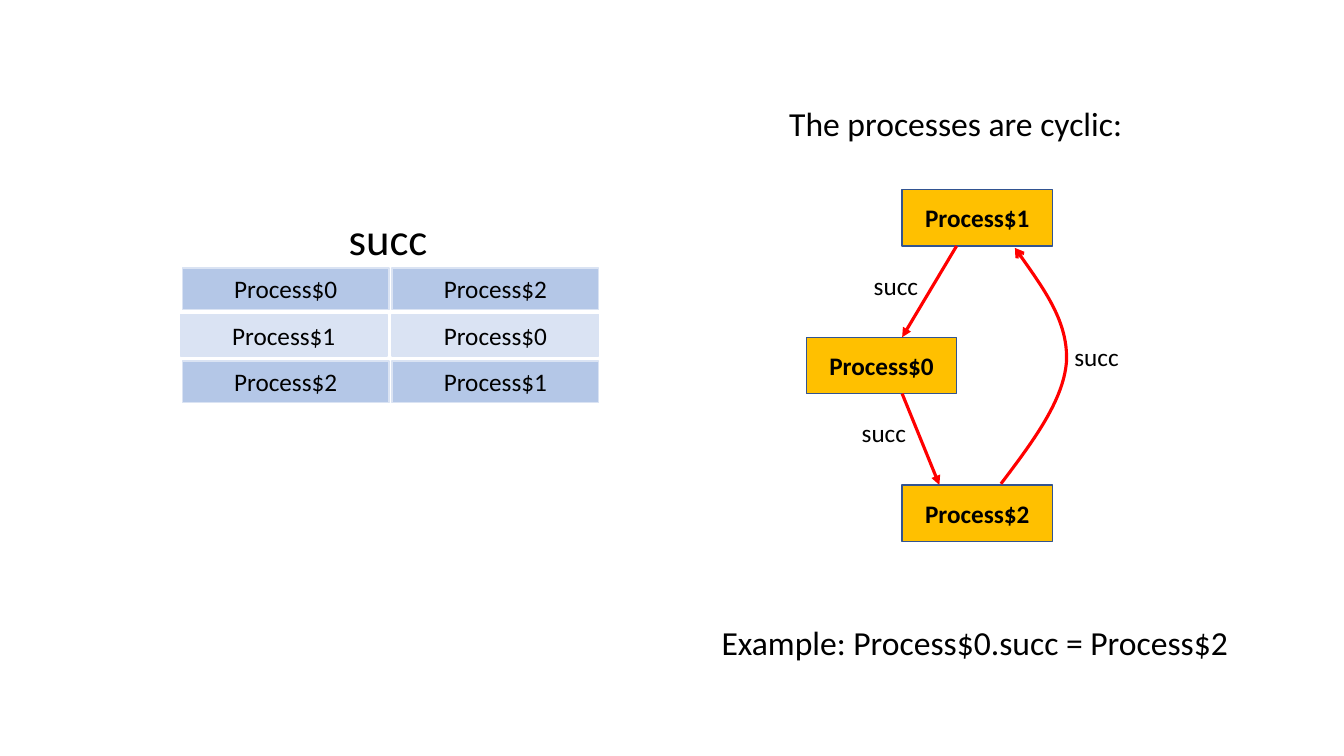
from lxml.etree import SubElement
from pptx import Presentation
from pptx.dml.color import RGBColor
from pptx.enum.shapes import MSO_CONNECTOR, MSO_SHAPE
from pptx.enum.text import MSO_ANCHOR, MSO_AUTO_SIZE, PP_ALIGN
from pptx.oxml.ns import qn
from pptx.util import Pt

FONT = "Calibri"
COLORS = {
    "text": "000000",
    "process": "FFC000",
    "process_line": "325491",
    "arrow": "FF0000",
    "dark_row": "B4C7E7",
    "light_row": "DAE3F3",
}

# Process name and left edge, from top to bottom
PROCESSES = [("Process$1", 644.4), ("Process$0", 576), ("Process$2", 644.4)]
PROCESS_TOP, PROCESS_PITCH = 135.4, 105.5
PROCESS_SIZE = (107.3, 40.3)

# Each row: left edge of its first cell, process, successor
SUCCESSOR_ROWS = [
    (130.3, "Process$0", "Process$2"),
    (128.9, "Process$1", "Process$0"),
    (130.3, "Process$2", "Process$1"),
]
SECOND_COLUMN, TABLE_TOP, ROW_PITCH = 280.1, 191.5, 33.2
CELL_SIZE = (147.6, 29.5)

STRAIGHT_ARROWS = [
    ((683.3, 175.7), (644.4, 240.9)),
    ((644.4, 281.2), (671, 346.4)),
]
# Start point, then three Bézier points for each segment
CURVED_ARROW = [
    (715, 345.6),
    (737.3, 316.1), (759.6, 286.6), (761.8, 258.5),
    (763.2, 230.4), (743.8, 203.8), (725, 177.1),
]

# Text, left, top, width, height, font size, wrap
LABELS = [
    ("succ", 241.9, 146.9, 76.3, 46.1, 32, True),
    ("succ", 617, 189.4, 46.8, 28.8, 18, False),
    ("succ", 608.4, 294.5, 46.8, 28.8, 18, False),
    ("succ", 760.3, 240.5, 46.8, 28.8, 18, False),
    ("The processes are cyclic:", 556.6, 69.8, 262.8, 36, 24, True),
    ("Example: Process$0.succ = Process$2", 508.3, 440.6, 379.4, 36, 24, False),
]


def color(name):
    return RGBColor.from_string(COLORS[name])


def write(box, text, size, bold=False):
    paragraph = box.text_frame.paragraphs[0]
    paragraph.text = text
    font = paragraph.runs[0].font
    font.name, font.size, font.bold = FONT, Pt(size), bold
    font.color.rgb = color("text")
    return paragraph


def add_box(page, text, left, top, size, fill, line, bold=False):
    box = page.shapes.add_shape(
        MSO_SHAPE.RECTANGLE, Pt(left), Pt(top), *map(Pt, size))
    box.shadow.inherit = False
    box.fill.solid()
    box.fill.fore_color.rgb = color(fill)
    box.line.color.rgb = color(line)
    box.line.width = Pt(1)
    box.text_frame.vertical_anchor = MSO_ANCHOR.MIDDLE
    write(box, text, 18, bold).alignment = PP_ALIGN.CENTER


def add_label(page, text, left, top, width, height, size, wrap):
    label = page.shapes.add_textbox(Pt(left), Pt(top), Pt(width), Pt(height))
    label.text_frame.word_wrap = wrap
    label.text_frame.auto_size = MSO_AUTO_SIZE.SHAPE_TO_FIT_TEXT
    write(label, text, size)


def style_arrow(arrow, head):
    arrow.line.color.rgb = color("arrow")
    arrow.line.width = Pt(2.25)
    SubElement(arrow.line._get_or_add_ln(), qn("a:tailEnd"), type=head)


def add_straight_arrow(page, start, end):
    arrow = page.shapes.add_connector(
        MSO_CONNECTOR.STRAIGHT, *map(Pt, start + end))
    style_arrow(arrow, "triangle")
    SubElement(arrow._element.spPr, qn("a:effectLst"))


def add_curved_arrow(page, points):
    """Draw a freeform, turning every three line points into a Bézier segment."""
    start, *rest = [(Pt(x), Pt(y)) for x, y in points]
    builder = page.shapes.build_freeform(*start)
    builder.add_line_segments(rest, close=False)
    arrow = builder.convert_to_shape()
    arrow.shadow.inherit = False
    arrow.fill.background()
    style_arrow(arrow, "arrow")
    outline = next(arrow._element.iter(qn("a:path")))
    steps = outline.findall(qn("a:lnTo"))
    for first in range(0, len(steps), 3):
        curve = SubElement(outline, qn("a:cubicBezTo"))
        for step in steps[first:first + 3]:
            curve.append(step[0])
            outline.remove(step)


def main():
    deck = Presentation()
    deck.slide_width, deck.slide_height = Pt(960), Pt(540)
    page = deck.slides.add_slide(deck.slide_layouts[6])

    for index, (name, left) in enumerate(PROCESSES):
        add_box(page, name, left, PROCESS_TOP + index * PROCESS_PITCH,
                PROCESS_SIZE, "process", "process_line", bold=True)
    for start, end in STRAIGHT_ARROWS:
        add_straight_arrow(page, start, end)
    add_curved_arrow(page, CURVED_ARROW)

    for index, (left, process, successor) in enumerate(SUCCESSOR_ROWS):
        fill = "light_row" if index % 2 else "dark_row"
        for text, cell_left in ((successor, SECOND_COLUMN), (process, left)):
            add_box(page, text, cell_left, TABLE_TOP + index * ROW_PITCH,
                    CELL_SIZE, fill, "light_row")
    for label in LABELS:
        add_label(page, *label)

    deck.save("out.pptx")


if __name__ == "__main__":
    main()
